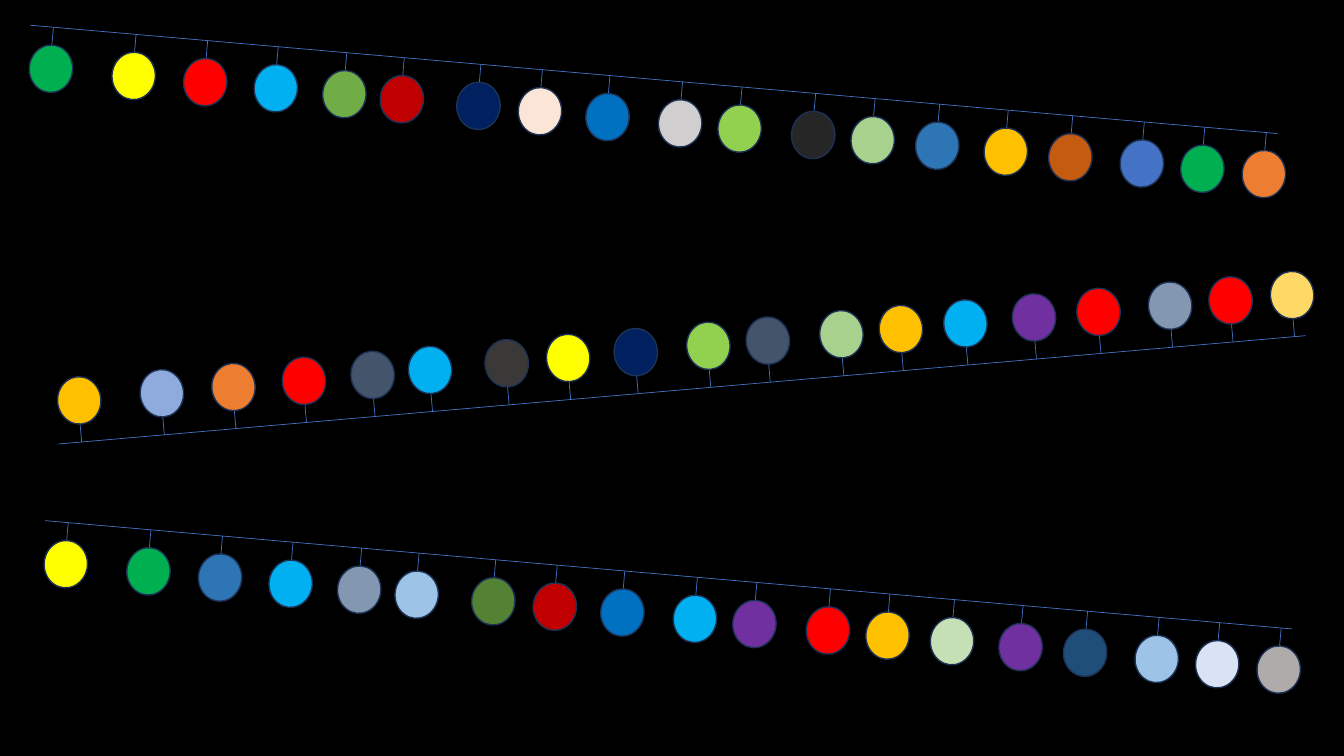
from pptx import Presentation
from pptx.dml.color import RGBColor
from pptx.enum.shapes import MSO_CONNECTOR, MSO_SHAPE
from pptx.oxml.ns import qn
from pptx.util import Inches, Pt
from lxml import etree

STRAIGHT = MSO_CONNECTOR.STRAIGHT
OVAL = MSO_SHAPE.OVAL

# Colours
BLACK = RGBColor(0x00, 0x00, 0x00)
WIRE = RGBColor(0x44, 0x72, 0xC4)
RIM = RGBColor(0x1E, 0x32, 0x56)
GREEN = RGBColor(0x00, 0xB0, 0x50)
YELLOW = RGBColor(0xFF, 0xFF, 0x00)
RED = RGBColor(0xFF, 0x00, 0x00)
SKY = RGBColor(0x00, 0xB0, 0xF0)
LEAF = RGBColor(0x70, 0xAD, 0x47)
CRIMSON = RGBColor(0xC0, 0x00, 0x00)
NAVY = RGBColor(0x00, 0x20, 0x60)
PEACH = RGBColor(0xFB, 0xE5, 0xD6)
BLUE = RGBColor(0x00, 0x70, 0xC0)
SILVER = RGBColor(0xD0, 0xCE, 0xCE)
LIME = RGBColor(0x92, 0xD0, 0x50)
COAL = RGBColor(0x26, 0x26, 0x26)
SAGE = RGBColor(0xA9, 0xD1, 0x8E)
STEEL = RGBColor(0x2E, 0x75, 0xB6)
GOLD = RGBColor(0xFF, 0xC0, 0x00)
RUST = RGBColor(0xC5, 0x5A, 0x11)
ORANGE = RGBColor(0xED, 0x7D, 0x31)
SLATE = RGBColor(0x84, 0x97, 0xB0)
ICE = RGBColor(0x9D, 0xC3, 0xE6)
FOREST = RGBColor(0x54, 0x82, 0x35)
PURPLE = RGBColor(0x70, 0x30, 0xA0)
MINT = RGBColor(0xC5, 0xE0, 0xB4)
PETROL = RGBColor(0x1F, 0x4E, 0x79)
MIST = RGBColor(0xDA, 0xE3, 0xF3)
ASH = RGBColor(0xAF, 0xAB, 0xAB)
PERIWINKLE = RGBColor(0x8F, 0xAA, 0xDC)
STORM = RGBColor(0x44, 0x54, 0x6A)
SOOT = RGBColor(0x3B, 0x38, 0x38)
SAND = RGBColor(0xFF, 0xD9, 0x66)

# Slide and its fine grid of 1333 columns by 750 rows
deck = Presentation()
deck.slide_width = Inches(13.333)
deck.slide_height = Inches(7.5)
slide = deck.slides.add_slide(deck.slide_layouts[6])
slide.background.fill.solid()
slide.background.fill.fore_color.rgb = BLACK
COL = deck.slide_width / 1333
ROW = deck.slide_height / 750


def add_wire(shapes, x1, y1, x2, y2):
    wire = shapes.add_connector(STRAIGHT, round(x1 * COL), round(y1 * ROW),
                                round(x2 * COL), round(y2 * ROW))
    wire.line.color.rgb = WIRE
    wire.line.width = Pt(0.5)
    etree.SubElement(wire._element.spPr, qn("a:effectLst"))


def add_bulb(shapes, center_x, center_y, tilt, color):
    bulb = shapes.add_shape(OVAL, round((center_x - BULB_W / 2) * COL),
                            round((center_y - BULB_H / 2) * ROW),
                            round(BULB_W * COL), round(BULB_H * ROW))
    bulb.rotation = tilt
    bulb.shadow.inherit = False
    bulb.fill.solid()
    bulb.fill.fore_color.rgb = color
    bulb.line.color.rgb = RIM
    bulb.line.width = Pt(1)


# Measures shared by all garlands, in grid columns and rows
SPAN, FALL, TILT = 1237, 107.5, 5
BULB_W, BULB_H = 43, 47
CORD, CORD_SHIFT = 18.3, -1.6
BULB_DROP, BULB_SHIFT = 41.2, -2.4
HOOKS = [23, 105, 176, 246, 314, 371, 447, 508, 575, 647,
         706, 779, 838, 902, 970, 1034, 1105, 1165, 1226]

# Garlands: start column, start row, direction (1 hangs, -1 stands), bulb colours
garlands = [
    (30, 25, 1, [GREEN, YELLOW, RED, SKY, LEAF, CRIMSON, NAVY, PEACH, BLUE, SILVER,
                 LIME, COAL, SAGE, STEEL, GOLD, RUST, WIRE, GREEN, ORANGE]),
    (44.7, 516.5, 1, [YELLOW, GREEN, STEEL, SKY, SLATE, ICE, FOREST, CRIMSON, BLUE, SKY,
                      PURPLE, RED, GOLD, MINT, PURPLE, PETROL, ICE, MIST, ASH]),
    (58, 440.5, -1, [GOLD, PERIWINKLE, ORANGE, RED, STORM, SKY, SOOT, YELLOW, NAVY, LIME,
                     STORM, SAGE, GOLD, SKY, PURPLE, RED, SLATE, RED, SAND]),
]

for start_x, start_y, direction, colors in garlands:
    add_wire(slide.shapes, start_x, start_y, start_x + SPAN, start_y + direction * FALL)
    for hook, color in zip(HOOKS, colors):
        hook_x = start_x + hook
        hook_y = start_y + direction * FALL * hook / SPAN
        light = slide.shapes.add_group_shape().shapes
        add_wire(light, hook_x, hook_y, hook_x + CORD_SHIFT, hook_y + direction * CORD)
        add_bulb(light, hook_x + BULB_SHIFT, hook_y + direction * BULB_DROP,
                 direction * TILT, color)

deck.save("out.pptx")
